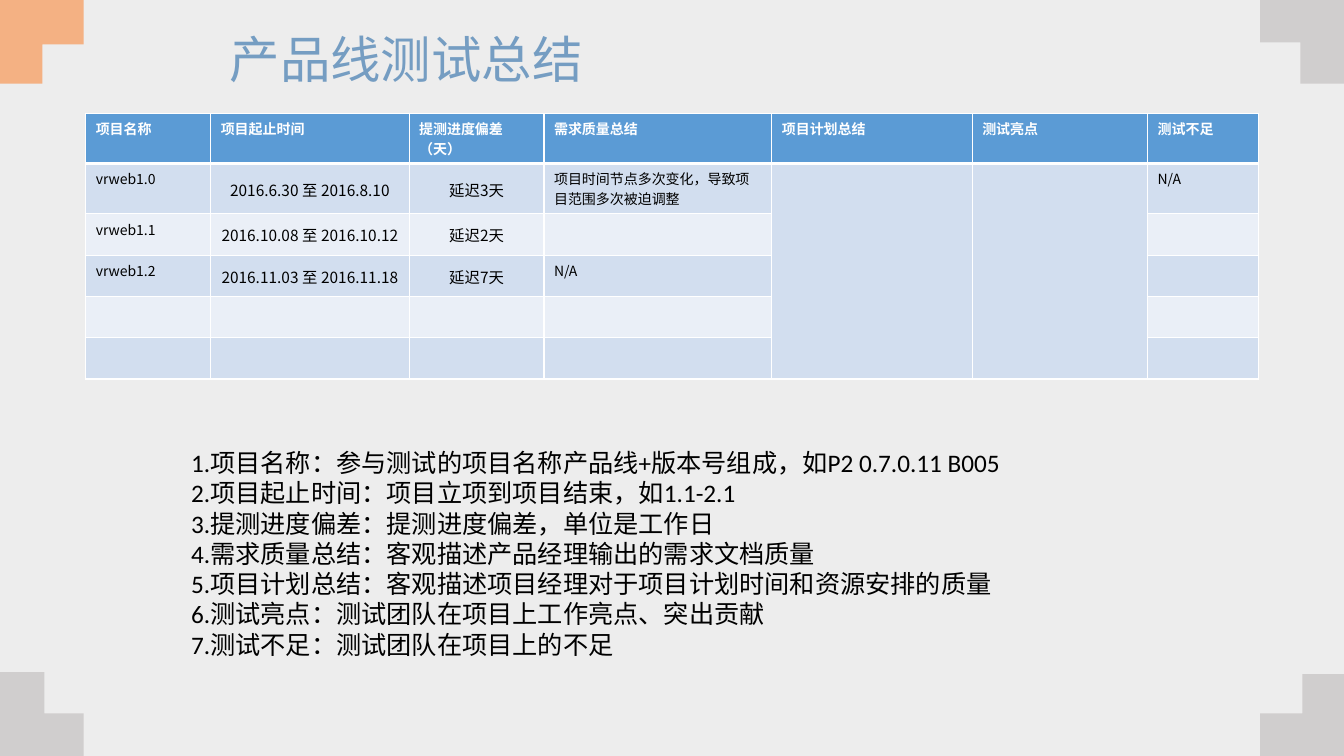
import pptx
import pptx.util
import pptx.dml.color
import pptx.enum.text
import pptx.oxml
import pptx.oxml.ns

Cm = pptx.util.Cm
Pt = pptx.util.Pt
ALIGN = pptx.enum.text.PP_ALIGN
ANCHOR = pptx.enum.text.MSO_ANCHOR

COLORS = {
    "page": "EDEDED", "grey": "D0CECE", "orange": "F4B183",
    "title": "759DC2", "text": "000000", "white": "FFFFFF",
    "header": "5B9BD5", "odd": "D2DEEF", "even": "EAEFF7",
}
CJK = "Noto Sans CJK SC"
WIDTH, HEIGHT = 33.87, 19.05
CORNER = 2.11

HEADINGS = ["项目名称", "项目起止时间", "提测进度偏差（天）", "需求质量总结",
            "项目计划总结", "测试亮点", "测试不足"]
PROJECTS = [
    ["vrweb1.0", "2016.6.30 至 2016.8.10", "延迟3天",
     "项目时间节点多次变化，导致项目范围多次被迫调整", "", "", "N/A"],
    ["vrweb1.1", "2016.10.08 至 2016.10.12", "延迟2天", "", "", "", ""],
    ["vrweb1.2", "2016.11.03 至 2016.11.18", "延迟7天", "N/A", "", "", ""],
    [""] * 7,
    [""] * 7,
]
COLUMN_WIDTHS = [3.15, 5, 3.4, 5.74, 5.05, 4.42, 2.79]
# The first two rows hold two lines of text
ROW_HEIGHTS = [1.27] * 2 + [1.04] * 4
CENTRED_COLUMNS = (1, 2)
MERGED_COLUMNS = (4, 5)
NOTES = [
    "1.项目名称：参与测试的项目名称产品线+版本号组成，如P2 0.7.0.11 B005",
    "2.项目起止时间：项目立项到项目结束，如1.1-2.1",
    "3.提测进度偏差：提测进度偏差，单位是工作日",
    "4.需求质量总结：客观描述产品经理输出的需求文档质量",
    "5.项目计划总结：客观描述项目经理对于项目计划时间和资源安排的质量",
    "6.测试亮点：测试团队在项目上工作亮点、突出贡献",
    "7.测试不足：测试团队在项目上的不足",
]


def color(name):
    return pptx.dml.color.RGBColor.from_string(COLORS[name])


def paint(fill, name):
    fill.solid()
    fill.fore_color.rgb = color(name)


def write(para, text, size=10, font=CJK, tint="text", bold=False,
          align=ALIGN.LEFT, spacing=None):
    para.alignment = align
    if spacing:
        para.line_spacing = spacing
    span = para.add_run()
    span.text = text
    span.font.size = Pt(size)
    span.font.name = font
    span.font.bold = bold
    span.font.color.rgb = color(tint)
    # East Asian characters need their own typeface entry
    east = pptx.oxml.parse_xml(
        f'<a:ea {pptx.oxml.ns.nsdecls("a")} typeface="{CJK}"/>')
    span.font._element.find(pptx.oxml.ns.qn("a:latin")).addnext(east)


def add_text(page, left, top, width, height, lines, anchor=ANCHOR.TOP, **style):
    box = page.shapes.add_textbox(Cm(left), Cm(top), Cm(width), Cm(height))
    frame = box.text_frame
    frame.word_wrap = True
    frame.vertical_anchor = anchor
    for index, line in enumerate(lines):
        para = frame.add_paragraph() if index else frame.paragraphs[0]
        write(para, line, **style)


def add_corner(page, x, y, right, down, upright, bar, tint):
    """Draw an L whose outer corner is (x, y); right and down are +1 or -1."""
    offsets = [(0, 0), (CORNER, 0), (CORNER, bar), (upright, bar),
               (upright, CORNER), (0, CORNER)]
    points = [(Cm(x + right * across), Cm(y + down * along))
              for across, along in offsets]
    builder = page.shapes.build_freeform(*points[0])
    builder.add_line_segments(points[1:], close=True)
    shape = builder.convert_to_shape()
    shape.shadow.inherit = False
    paint(shape.fill, tint)
    shape.line.fill.background()


def set_borders(cell, bottom):
    properties = cell._tc.get_or_add_tcPr()
    widths = {"lnL": 1, "lnR": 1, "lnT": 1, "lnB": bottom}
    for index, (side, width) in enumerate(widths.items()):
        properties.insert(index, pptx.oxml.parse_xml(
            f'<a:{side} {pptx.oxml.ns.nsdecls("a")} w="{Pt(width)}"><a:solidFill>'
            f'<a:srgbClr val="{COLORS["white"]}"/></a:solidFill></a:{side}>'))


def fill_cell(cell, text, row, column):
    header = row == 0
    paint(cell.fill, "header" if header else "odd" if row % 2 else "even")
    set_borders(cell, 3 if header else 1)
    if not text:
        return
    style = {"tint": "white", "bold": True} if header else {}
    if not header and column in CENTRED_COLUMNS:
        style = {"size": 11, "align": ALIGN.CENTER}
        cell.vertical_anchor = ANCHOR.MIDDLE
        cell.margin_left = cell.margin_right = cell.margin_top = Cm(0.03)
        cell.margin_bottom = Cm(0)
    write(cell.text_frame.paragraphs[0], text, **style)


def add_summary_table(page, left, top):
    rows = [HEADINGS] + PROJECTS
    table = page.shapes.add_table(
        len(rows), len(HEADINGS), Cm(left), Cm(top),
        Cm(sum(COLUMN_WIDTHS)), Cm(sum(ROW_HEIGHTS))).table
    for column, width in zip(table.columns, COLUMN_WIDTHS):
        column.width = Cm(width)
    for row, texts in enumerate(rows):
        table.rows[row].height = Cm(ROW_HEIGHTS[row])
        for column, text in enumerate(texts):
            fill_cell(table.cell(row, column), text, row, column)
    for column in MERGED_COLUMNS:
        table.cell(1, column).merge(table.cell(len(rows) - 1, column))


def main():
    deck = pptx.Presentation()
    deck.slide_width, deck.slide_height = Cm(WIDTH), Cm(HEIGHT)
    page = deck.slides.add_slide(deck.slide_layouts[6])
    paint(page.background.fill, "page")

    # Corner ornaments
    add_corner(page, 0, HEIGHT, 1, -1, 1.12, 1.07, "grey")
    add_corner(page, 0, 0, 1, 1, 1.07, 1.12, "orange")
    add_corner(page, WIDTH, 0, -1, 1, 1.1, 1.07, "grey")
    add_corner(page, WIDTH, 19.1, -1, -1, 1.05, 1.12, "grey")

    # Title
    add_text(page, 5.54, 0.71, 22.81, 1.7, ["产品线测试总结"],
             anchor=ANCHOR.MIDDLE, size=36, tint="title", spacing=0.9)

    # Project table
    add_summary_table(page, 2.16, 2.85)

    # Explanation of the columns
    add_text(page, 4.57, 11.15, 21.08, 5.64, NOTES, size=18, font="Calibri")

    deck.save("out.pptx")


if __name__ == "__main__":
    main()
